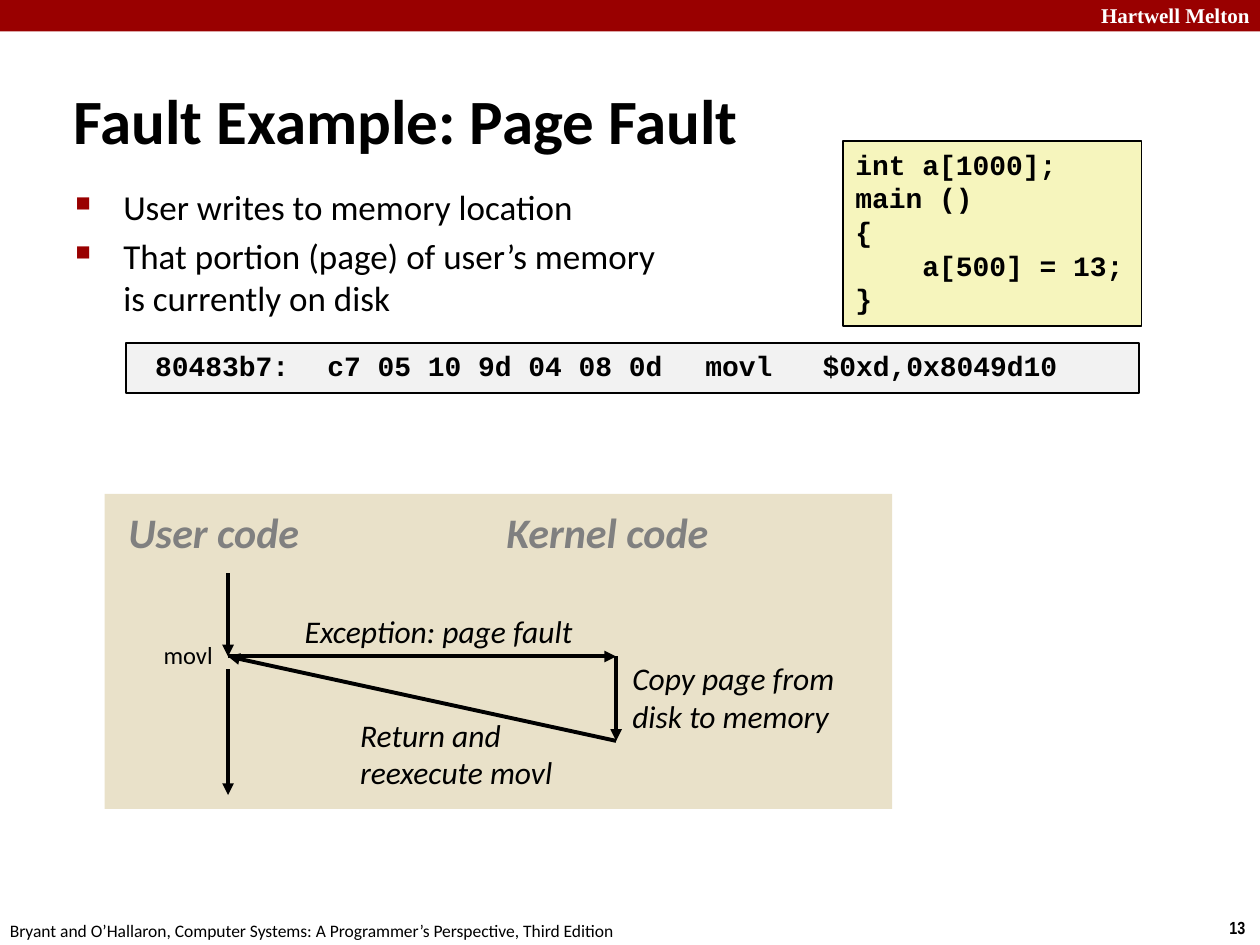
"""Build the slide on page faults: code, machine instruction and control flow."""
from lxml import etree
from pptx import Presentation
from pptx import util as u
from pptx.dml.color import RGBColor
from pptx.enum import shapes, text
from pptx.oxml import ns

COLORS = {
    "red": "990000", "sand": "E9E1C9", "yellow": "F6F5BD", "light": "F2F2F2",
    "gray": "808080", "black": "000000", "white": "FFFFFF",
}

presentation = Presentation()
presentation.slide_width, presentation.slide_height = u.Inches(10), u.Inches(7.5)
COLUMN = presentation.slide_width / 100
ROW = presentation.slide_height / 75
slide = presentation.slides.add_slide(presentation.slide_layouts[5])


def place(columns, rows):
    return [round(columns * COLUMN), round(rows * ROW)]


def write(content, box=None, shape=None, size=18, font="Calibri", color="black",
          bold=False, italic=False, wrap=False, anchor=text.MSO_ANCHOR.TOP):
    if shape is None:
        shape = slide.shapes.add_textbox(*place(*box[:2]), *place(*box[2:]))
    frame = shape.text_frame
    frame.word_wrap, frame.vertical_anchor = wrap, anchor
    frame.auto_size = text.MSO_AUTO_SIZE.NONE
    frame.text = content
    for paragraph in frame.paragraphs:
        paragraph.alignment = text.PP_ALIGN.LEFT
        for run in paragraph.runs:
            run.font.size, run.font.name = u.Pt(size), font
            run.font.bold, run.font.italic = bold, italic
            run.font.color.rgb = RGBColor.from_string(COLORS[color])
    return shape


panels = {}
for name, box, fill, outlined in [
    ("header", (0, 0, 100, 2.5), "red", False),
    ("flow", (8.3, 39.2, 62.5, 25), "sand", False),
    ("program", (66.9, 11.2, 23.7, 14.7), "yellow", True),
    ("instruction", (10, 27.2, 80.4, 4), "light", True),
]:
    panel = slide.shapes.add_shape(
        shapes.MSO_SHAPE.RECTANGLE, *place(*box[:2]), *place(*box[2:]))
    panel.shadow.inherit = False
    panel.fill.solid()
    panel.fill.fore_color.rgb = RGBColor.from_string(COLORS[fill])
    if outlined:
        panel.line.color.rgb = RGBColor.from_string(COLORS["black"])
        panel.line.width = u.Pt(1)
    else:
        panel.line.fill.background()
    panels[name] = panel

title = slide.shapes.title
title.left, title.top = place(4.8, 6.4)
title.width, title.height = place(86.3, 6.1)
write("Fault Example: Page Fault", shape=title, size=36, bold=True, wrap=True,
      anchor=text.MSO_ANCHOR.MIDDLE)

write("Hartwell Melton", (86.4, -0.3, 14.3, 3), size=12, font="Times New Roman",
      color="white", bold=True)
write("13", (96.6, 72.3, 3.4, 2.7), size=10, font="Arial Narrow", bold=True)
write("Bryant and O’Hallaron, Computer Systems: A Programmer’s Perspective, Third Edition",
      (-0.2, 72.5, 50.8, 2.7), size=10)

points = write("User writes to memory location\n"
               "That portion (page) of user’s memory \vis currently on disk",
               (5, 14.2, 89.2, 11.7), size=20, wrap=True)
for paragraph in points.text_frame.paragraphs:
    paragraph.space_before = u.Pt(4)
    properties = paragraph._p.get_or_add_pPr()
    properties.set("marL", str(u.Inches(0.38)))
    properties.set("indent", str(-u.Inches(0.38)))
    bullet_color = etree.SubElement(properties, ns.qn("a:buClr"))
    etree.SubElement(bullet_color, ns.qn("a:srgbClr"), val=COLORS["red"])
    etree.SubElement(properties, ns.qn("a:buSzPct"), val="60000")
    etree.SubElement(properties, ns.qn("a:buChar"), char="■")

for name, code in [
    ("program", "int a[1000];\nmain ()\n{\n    a[500] = 13;\n}"),
    ("instruction", " 80483b7:\tc7 05 10 9d 04 08 0d \tmovl   $0xd,0x8049d10"),
]:
    write(code, shape=panels[name], size=16, font="Courier New", bold=True)

for heading, box in [("User code", (9.2, 39.7, 16.5, 5)),
                     ("Kernel code", (39.2, 39.7, 19.1, 5))]:
    write(heading, box, size=24, color="gray", bold=True, italic=True)

USER, KERNEL, FAULT, RETURN = 18.1, 48.9, 52.1, 58.8
for start, end in [
    ((USER, 45.5), (USER, FAULT)),
    ((USER, FAULT), (KERNEL, FAULT)),
    ((KERNEL, FAULT), (KERNEL, RETURN)),
    ((KERNEL, RETURN), (USER, FAULT)),
    ((USER, 53.1), (USER, 63.1)),
]:
    arrow = slide.shapes.add_connector(
        shapes.MSO_CONNECTOR.STRAIGHT, *place(*start), *place(*end))
    arrow.line.color.rgb = RGBColor.from_string(COLORS["black"])
    arrow.line.width = u.Pt(2.25)
    etree.SubElement(arrow.line._get_or_add_ln(), ns.qn("a:tailEnd"), type="triangle")
    etree.SubElement(arrow._element.spPr, ns.qn("a:effectLst"))

for label, box, wrap in [
    ("Exception: page fault", (23.2, 48.1, 24.2, 4), False),
    ("Copy page from disk to memory", (49.2, 51.8, 21.6, 7), True),
    ("Return and reexecute movl", (27.6, 56.3, 19.9, 7), True),
]:
    write(label, box, italic=True, wrap=wrap)
write("movl", (12, 50.3, 6, 3.4), size=14)

presentation.save("out.pptx")
